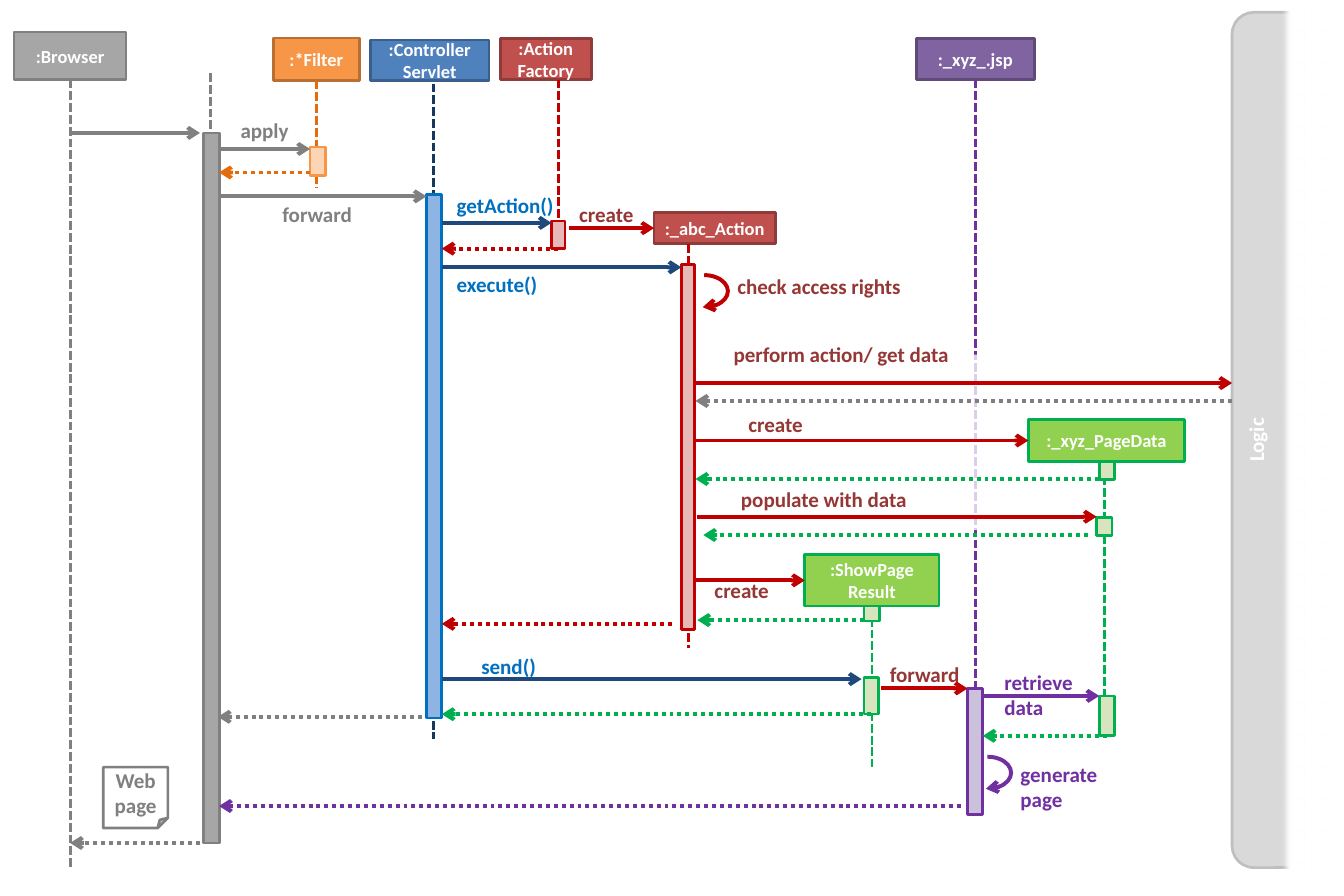
from lxml.etree import SubElement
from pptx import Presentation
from pptx.dml.color import RGBColor
from pptx.enum.dml import MSO_LINE_DASH_STYLE as DASH
from pptx.enum.shapes import MSO_CONNECTOR as CONN, MSO_SHAPE as SHAPE
from pptx.enum.text import MSO_ANCHOR as ANCHOR, PP_ALIGN as ALIGN
from pptx.oxml.ns import qn
from pptx.util import Cm, Pt

COLORS = {
    "white": "FFFFFF", "gray": "808080", "silver": "A6A6A6", "pale": "D9D9D9",
    "pale_edge": "BFBFBF", "orange": "F79646", "orange_edge": "B76F34",
    "orange_line": "E46C0A", "peach": "FCD5B5", "blue": "4F81BD",
    "blue_edge": "3A5F8C", "navy": "1F497D", "navy_line": "17375E",
    "sky": "8EB4E3", "blue_text": "0070C0", "brick": "C0504D",
    "brick_edge": "8E3B39", "red": "C00000", "rose": "E6B9B8",
    "red_text": "953735", "violet": "8064A2", "violet_edge": "5F4A78",
    "purple": "7030A0", "lilac": "CCC1DA", "lime": "92D050",
    "green": "00B050", "mint": "D7E4BD",
}

PARTICIPANTS = {
    "browser": (":Browser", 0.38, 0.86, 3, 1.27, "silver", "gray"),
    "filter": (":*Filter", 7.33, 1.02, 2.3, 1.14, "orange", "orange_edge"),
    "controller": (":Controller\nServlet", 9.93, 1.07, 3.18, 1.09, "blue", "blue_edge"),
    "factory": (":Action\nFactory", 13.41, 1.04, 2.44, 1.09, "brick", "brick_edge"),
    "action": (":_abc_Action", 17.53, 5.69, 3.25, 0.84, "brick", "brick_edge"),
    "jsp": (":_xyz_.jsp", 24.56, 1.04, 3.16, 1.09, "violet", "violet_edge"),
    "page_data": (":_xyz_PageData", 27.56, 11.23, 4.19, 1.14, "lime", "green"),
    "result": (":ShowPage\nResult", 21.57, 14.86, 3.6, 1.37, "lime", "green"),
}
LIFELINES = [
    (1.88, 2.13, 23.22, "gray", "browser"),
    (5.64, 1.96, 15.37, "gray", None),
    (8.48, 2.16, 5.03, "orange_line", "filter"),
    (11.61, 2.24, 19.79, "navy_line", None),
    (14.96, 2.13, 6.65, "red", None),
    (18.44, 6.53, 17.37, "red", None),
    (23.37, 16.23, 20.55, "green", "result"),
    (26.14, 2.13, 21.67, "purple", "jsp"),
    (29.59, 12.45, 19.35, "green", None),
]
ACTIVATIONS = {
    "front_bar": (5.46, 3.56, 0.43, 19.02, "silver", "gray"),
    "filter_bar": (8.31, 3.94, 0.41, 0.76, "peach", "orange"),
    "controller_bar": (11.43, 5.21, 0.41, 14.02, "sky", "blue_text"),
    "factory_bar": (14.78, 5.92, 0.36, 0.74, "rose", "red"),
    "action_bar": (18.26, 7.09, 0.36, 9.78, "rose", "red"),
    "result_create_bar": (23.16, 16.23, 0.41, 0.41, "mint", "green"),
    "result_send_bar": (23.16, 18.14, 0.38, 0.99, "mint", "green"),
    "data_create_bar": (29.46, 12.37, 0.41, 0.48, "mint", "green"),
    "data_populate_bar": (29.39, 13.87, 0.41, 0.48, "mint", "green"),
    "data_retrieve_bar": (29.46, 18.64, 0.41, 1.07, "mint", "green"),
    "jsp_bar": (25.93, 18.44, 0.41, 3.38, "lilac", "purple"),
}
CALLS = [
    (1.88, 5.36, 3.56, "gray", None), (5.89, 8.31, 3.99, "gray", None),
    (5.89, 11.43, 5.26, "gray", None), (11.84, 14.78, 5.97, "navy", None),
    (15.24, 17.53, 6.12, "red", "action"), (11.84, 18.26, 7.16, "navy", None),
    (18.62, 33.02, 10.26, "red", None), (18.62, 27.56, 11.79, "red", "page_data"),
    (18.69, 29.39, 13.84, "red", None), (18.62, 21.57, 15.54, "red", "result"),
    (11.84, 23.09, 18.19, "navy", None), (23.6, 25.93, 18.44, "red", None),
    (26.34, 29.46, 18.64, "purple", None),
]
RETURNS = [
    (8.31, 5.87, 4.62, "orange_line", None), (14.96, 11.84, 6.65, "red", "factory_bar"),
    (33.02, 18.64, 10.74, "gray", None), (29.46, 18.64, 12.83, "green", None),
    (29.16, 18.85, 14.33, "green", None), (23.16, 18.69, 16.61, "green", None),
    (18.01, 11.84, 16.71, "red", None), (23.35, 11.84, 19.13, "green", "result_send_bar"),
    (11.3, 5.84, 19.2, "gray", None), (29.66, 26.34, 19.71, "green", "data_retrieve_bar"),
    (25.76, 5.87, 21.59, "purple", None), (5.36, 1.88, 22.58, "gray", None),
]
LABELS = [
    ("apply", 6.2, 3.02, 2.03, "gray"), ("forward", 7.32, 5.26, 2.51, "gray"),
    ("getAction()", 11.99, 5.03, 3.15, "blue_text"),
    ("execute()", 11.99, 7.14, 3.15, "blue_text"),
    ("send()", 12.65, 17.37, 3.15, "blue_text"),
    ("create", 15.27, 5.26, 2.16, "red_text"),
    ("check access rights", 19.51, 7.21, 4.95, "red_text"),
    ("perform action/ get data", 19.41, 9.02, 8.74, "red_text"),
    ("create", 19.81, 10.9, 2.16, "red_text"),
    ("populate with data", 19.61, 12.9, 6.45, "red_text"),
    ("create", 18.9, 15.34, 2.16, "red_text"),
    ("forward", 23.6, 17.58, 2.59, "red_text"),
    ("retrieve data", 26.67, 17.81, 2.79, "purple"),
    ("generate page", 27.1, 20.27, 2.79, "purple"),
]
SELF_CALLS = [(18.24, 7.37, "red"), (25.83, 20.27, "purple")]


def rgb(name):
    """Return a named colour."""
    return RGBColor.from_string(COLORS[name])


def write(sp, text, size, color, align=ALIGN.CENTER, anchor=ANCHOR.MIDDLE):
    """Write bold text into a shape, one run for each line."""
    tf = sp.text_frame
    tf.word_wrap, tf.vertical_anchor = True, anchor
    p = tf.paragraphs[0]
    p.alignment = align
    for i, line in enumerate(text.split("\n")):
        if i:
            p.add_line_break()
        r = p.add_run()
        r.text = line
        r.font.name, r.font.size, r.font.bold = "Calibri", Pt(size), True
        r.font.color.rgb = rgb(color)


def add_box(s, kind, x, y, w, h, fill=None, line=None, width=2):
    """Add a preset shape with plain fill and line."""
    sp = s.shapes.add_shape(kind, Cm(x), Cm(y), Cm(w), Cm(h))
    sp.shadow.inherit = False
    if fill:
        sp.fill.solid()
        sp.fill.fore_color.rgb = rgb(fill)
    else:
        sp.fill.background()
    if line:
        sp.line.color.rgb, sp.line.width = rgb(line), Pt(width)
    else:
        sp.line.fill.background()
    return sp


def add_arrowhead(sp):
    """Put an open arrowhead at the end of a line."""
    SubElement(sp.line._get_or_add_ln(), qn("a:tailEnd"), type="arrow")


def add_line(s, x1, y1, x2, y2, color, width, dash=None):
    """Add a straight connector without shadow."""
    cn = s.shapes.add_connector(CONN.STRAIGHT, Cm(x1), Cm(y1), Cm(x2), Cm(y2))
    cn.line.color.rgb, cn.line.width = rgb(color), Pt(width)
    if dash:
        cn.line.dash_style = dash
    SubElement(cn._element.spPr, qn("a:effectLst"))
    return cn


def draw_participants(s, box):
    """Draw the named participants and their lifelines."""
    left, top = box[:2]
    shapes = {}
    for key, (text, x, y, w, h, fill, line) in PARTICIPANTS.items():
        shapes[key] = add_box(s, SHAPE.RECTANGLE, left + x, top + y, w, h, fill, line)
        write(shapes[key], text, 14, "white")
    for x, y1, y2, color, owner in LIFELINES:
        cn = add_line(s, left + x, top + y1, left + x, top + y2, color, 2.25, DASH.SQUARE_DOT)
        cn.line.dash_style = DASH.SQUARE_DOT
        cn.line._get_or_add_ln().find(qn("a:prstDash")).set("val", "sysDash")
        if owner:
            cn.begin_connect(shapes[owner], 2)
            cn.end_x = cn.begin_x
    veil = add_box(s, SHAPE.ROUNDED_RECTANGLE, left + 25.93, top + 9.5, 0.53, 4.7, "white")
    clr = veil._element.spPr.find(qn("a:solidFill"))[0]
    SubElement(clr, qn("a:alpha"), val="76000")
    return shapes


def draw_activations(s, box):
    """Draw the activation bars on the lifelines."""
    left, top = box[:2]
    return {key: add_box(s, SHAPE.RECTANGLE, left + x, top + y, w, h, fill, line)
            for key, (x, y, w, h, fill, line) in ACTIVATIONS.items()}


def draw_messages(s, box, shapes):
    """Draw calls as solid arrows, returns as dotted ones and self calls as arcs."""
    left, top = box[:2]
    for x1, x2, y, color, joined in CALLS + RETURNS:
        is_return = x2 < x1
        cn = add_line(s, left + x1, top + y, left + x2, top + y, color, 3,
                      DASH.ROUND_DOT if is_return else None)
        add_arrowhead(cn)
        if joined and is_return:
            cn.begin_connect(shapes[joined], 2)
            cn.end_y = cn.begin_y
        elif joined:
            cn.end_connect(shapes[joined], 1)
            cn.begin_y = cn.end_y
    for x, y, color in SELF_CALLS:
        arc = add_box(s, SHAPE.ARC, left + x, top + y, 1.27, 0.86, line=color, width=3)
        arc.adjustments[0], arc.adjustments[1] = 162, 57.21
        add_arrowhead(arc)


def draw_labels(s, box):
    """Write the message labels and the web page note."""
    left, top = box[:2]
    for text, x, y, w, color in LABELS:
        tb = s.shapes.add_textbox(Cm(left + x), Cm(top + y), Cm(w), Cm(0.94))
        write(tb, text, 16, color, ALIGN.LEFT, ANCHOR.TOP)
    note = add_box(s, SHAPE.FOLDED_CORNER, left + 2.77, top + 20.55, 1.73, 1.63, "white", "gray")
    write(note, "Web page", 16, "gray")


def draw_logic(s, box):
    """Draw the logic layer fading out to the right."""
    x, y, w, h = box
    layer = add_box(s, SHAPE.ROUNDED_RECTANGLE, x, y, w, h, "pale", "pale_edge")
    layer.adjustments[0] = 0.23
    write(layer, "Logic", 16, "white", anchor=ANCHOR.TOP)
    layer.text_frame._txBody.bodyPr.set("vert", "vert270")
    cover = add_box(s, SHAPE.RECTANGLE, x + w / 2, 0, 1.7, 24, "white")
    effects = cover._element.spPr.find(qn("a:effectLst"))
    SubElement(effects, qn("a:softEdge"), rad="63500")


def main():
    """Build the sequence diagram slide."""
    prs = Presentation()
    prs.slide_width, prs.slide_height = Cm(36.02), Cm(24)
    s = prs.slides.add_slide(prs.slide_layouts[6])
    diagram = (0, 0, 33.02, 24)
    draw_logic(s, (33.02, 0.33, 2.54, 22.91))
    shapes = draw_participants(s, diagram)
    shapes.update(draw_activations(s, diagram))
    draw_messages(s, diagram, shapes)
    draw_labels(s, diagram)
    prs.save("out.pptx")


if __name__ == "__main__":
    main()
